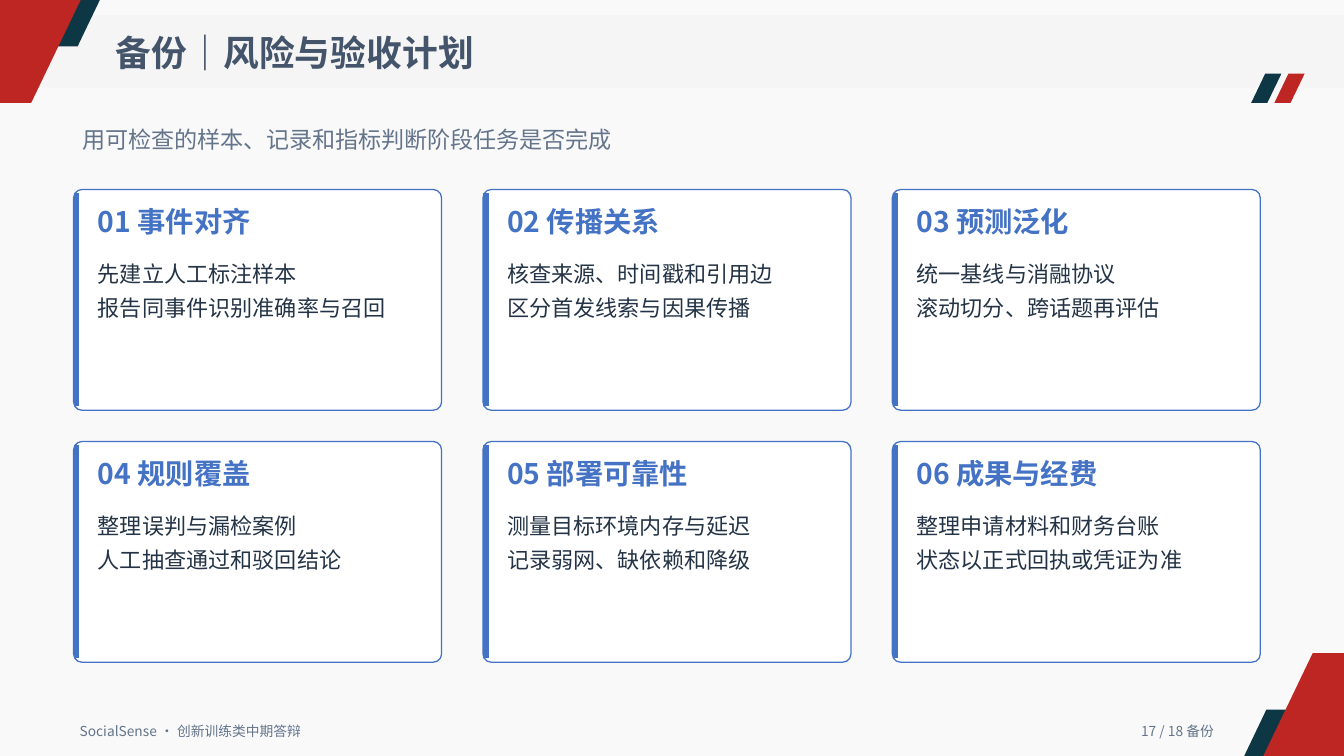
import pptx
import pptx.util
import pptx.dml.color
import pptx.enum.shapes
import pptx.enum.text
import lxml.etree
import pptx.oxml.ns

WIDE, HIGH = 13.33, 7.5
LEFT, TOP = 0.73, 1.88
STEP, ROW = 4.06, 2.5
CARD, TALL = 3.65, 2.19
FACE = "Noto Sans CJK SC"
COLORS = {
    "page": "F5F5F5", "band": "F2F2F2", "navy": "0D3745", "red": "BE2623",
    "title": "44546A", "muted": "64748B", "blue": "4472C4", "ink": "243446",
    "white": "FFFFFF",
}
CARDS = [
    ("01 事件对齐", "先建立人工标注样本\n报告同事件识别准确率与召回"),
    ("02 传播关系", "核查来源、时间戳和引用边\n区分首发线索与因果传播"),
    ("03 预测泛化", "统一基线与消融协议\n滚动切分、跨话题再评估"),
    ("04 规则覆盖", "整理误判与漏检案例\n人工抽查通过和驳回结论"),
    ("05 部署可靠性", "测量目标环境内存与延迟\n记录弱网、缺依赖和降级"),
    ("06 成果与经费", "整理申请材料和财务台账\n状态以正式回执或凭证为准"),
]
SHAPES = pptx.enum.shapes.MSO_SHAPE
ALIGN = pptx.enum.text.PP_ALIGN
inch = pptx.util.Inches


def tint(name):
    return pptx.dml.color.RGBColor.from_string(COLORS[name])


def child(node, tag, **attrs):
    return lxml.etree.SubElement(node, pptx.oxml.ns.qn(tag), **attrs)


def paint(shape, fill, alpha=None, line=None):
    shape.shadow.inherit = False
    shape.fill.solid()
    shape.fill.fore_color.rgb = tint(fill)
    if alpha:
        color = shape.element.find(".//" + pptx.oxml.ns.qn("a:srgbClr"))
        child(color, "a:alpha", val=str(alpha * 1000))
    if line:
        shape.line.color.rgb = tint(line)
        shape.line.width = pptx.util.Pt(0.9)
    else:
        shape.line.fill.background()


def block(slide, kind, box, fill, adj=None, alpha=None, line=None):
    shape = slide.shapes.add_shape(kind, *map(inch, box))
    if adj is not None:
        shape.adjustments[0] = adj
    paint(shape, fill, alpha, line)


def corner(slide, width, foot, height, fill, flip=False):
    points = [(0, 0), (width, 0), (foot, height), (0, height)]
    if flip:
        points = [(WIDE - x, HIGH - y) for x, y in points]
    points = [(inch(x), inch(y)) for x, y in points]
    form = slide.shapes.build_freeform(*points[0], scale=1.0)
    form.add_line_segments(points[1:], close=True)
    paint(form.convert_to_shape(), fill)


def rail(slide, x, top, end):
    kind = pptx.enum.shapes.MSO_CONNECTOR.STRAIGHT
    line = slide.shapes.add_connector(kind, *map(inch, (x, top, x, end)))
    line.line.color.rgb = tint("blue")
    line.line.width = pptx.util.Pt(3.75)
    child(line.element.spPr, "a:effectLst")


def write(slide, text, box, size, color, bold=False, align=ALIGN.LEFT,
          lead=None, shape=None):
    if shape is None:
        shape = slide.shapes.add_textbox(*map(inch, box))
    else:
        shape.left, shape.top, shape.width, shape.height = map(inch, box)
    frame = shape.text_frame
    frame.margin_left = frame.margin_right = 0
    frame.margin_top = frame.margin_bottom = 0
    frame.word_wrap = False
    frame.auto_size = pptx.enum.text.MSO_AUTO_SIZE.SHAPE_TO_FIT_TEXT
    frame.vertical_anchor = pptx.enum.text.MSO_ANCHOR.TOP
    para = frame.paragraphs[0]
    para.alignment = align
    if lead:
        para.line_spacing = pptx.util.Pt(lead)
    for index, line in enumerate(text.split("\n")):
        if index:
            para.add_line_break()
        run = para.add_run()
        run.text = line
        font = run.font
        font.size = pptx.util.Pt(size)
        font.bold = bold
        font.color.rgb = tint(color)
        font.name = FACE
        child(run._r.get_or_add_rPr(), "a:ea", typeface=FACE)


def card(slide, index, head, body):
    row, col = divmod(index, 3)
    x, y = LEFT + col * STEP, TOP + row * ROW
    block(slide, SHAPES.ROUNDED_RECTANGLE, (x, y, CARD, TALL), "white",
          adj=0.038, line="blue")
    rail(slide, x + 0.03, y + 0.03, y + 2.15)
    width = 0.45 + 0.3 * (len(head) - 3)
    write(slide, head, (x + 0.24, y + 0.15, width, 0.43), 20.2, "blue",
          bold=True)
    width = 0.22 * max(map(len, body.split("\n")))
    write(slide, body, (x + 0.24, y + 0.63, width, 0.68), 15.8, "ink",
          lead=24.4)


def frame(slide):
    block(slide, SHAPES.RECTANGLE, (0, 0, WIDE, HIGH), "page", alpha=50)
    block(slide, SHAPES.PARALLELOGRAM, (0, 0.15, WIDE, 0.72), "band",
          adj=0, alpha=50)
    for x, fill in ((12.41, "navy"), (12.64, "red")):
        block(slide, SHAPES.PARALLELOGRAM, (x, 0.73, 0.3, 0.29), fill,
              adj=0.481)
    for flip in (False, True):
        corner(slide, 0.99, 0.77, 0.46, "navy", flip)
        corner(slide, 0.8, 0.31, 1.02, "red", flip)


def main():
    deck = pptx.Presentation()
    deck.slide_width, deck.slide_height = inch(WIDE), inch(HIGH)
    slide = deck.slides.add_slide(deck.slide_layouts[5])
    frame(slide)
    title = slide.shapes.title
    title.element.getparent().append(title.element)
    write(slide, "备份｜风险与验收计划", (1.15, 0.31, 3.78, 0.55), 25.5,
          "title", bold=True, shape=title)
    write(slide, "用可检查的样本、记录和指标判断阶段任务是否完成",
          (0.82, 1.24, 5.61, 0.35), 16.5, "muted")
    write(slide, "SocialSense · 创新训练类中期答辩",
          (0.79, 7.17, 2.29, 0.21), 9.8, "muted")
    write(slide, "17 / 18 备份", (11.21, 7.17, 0.83, 0.21), 9.8, "muted",
          align=ALIGN.RIGHT)
    for index, (head, body) in enumerate(CARDS):
        card(slide, index, head, body)
    deck.save("out.pptx")


if __name__ == "__main__":
    main()
